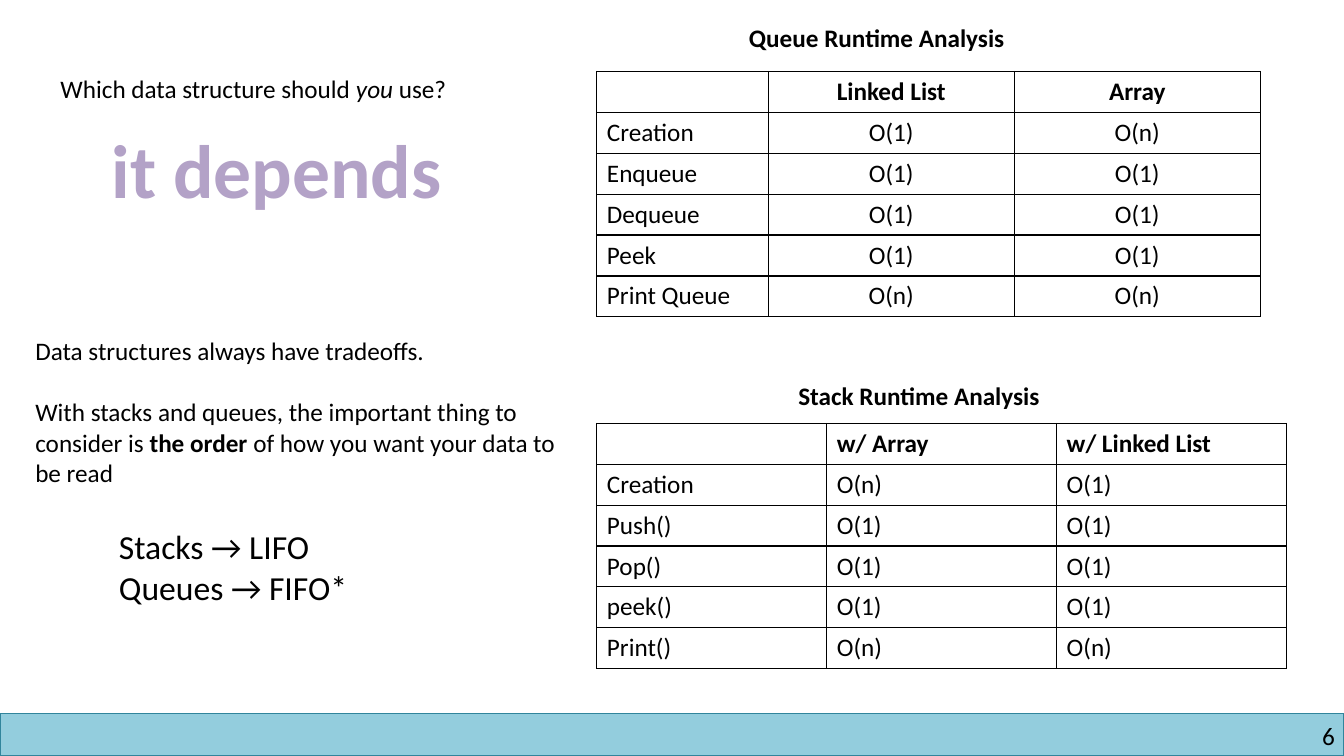
from pptx import Presentation
from pptx.dml.color import RGBColor
from pptx.enum.shapes import MSO_SHAPE
from pptx.enum.text import MSO_ANCHOR, MSO_AUTO_SIZE, PP_ALIGN
from pptx.oxml import parse_xml
from pptx.oxml.ns import nsdecls
from pptx.util import Inches, Pt

THEME = {
    "font": "Calibri",
    "ink": RGBColor.from_string("000000"),
    "paper": RGBColor.from_string("FFFFFF"),
    "accent": RGBColor.from_string("B3A2C7"),
    "bar": RGBColor.from_string("93CDDD"),
    "bar_line": RGBColor.from_string("31859C"),
    "text": Pt(18),
    "large": Pt(24),
    "hero": Pt(54),
}


def format_paragraph(p, size="text", color="ink", bold=False, align=PP_ALIGN.LEFT):
    p.alignment = align
    for r in p.runs:
        r.font.name = THEME["font"]
        r.font.size = THEME[size]
        r.font.color.rgb = THEME[color]
        r.font.bold = bold


def place(sp, left, top, width, height):
    sp.left, sp.top = Inches(left), Inches(top)
    sp.width, sp.height = Inches(width), Inches(height)
    tf = sp.text_frame
    tf.word_wrap = True
    tf.auto_size = MSO_AUTO_SIZE.NONE
    tf.vertical_anchor = MSO_ANCHOR.TOP
    return tf


prs = Presentation()
prs.slide_width, prs.slide_height = Inches(13.33), Inches(7.5)
s = prs.slides.add_slide(prs.slide_layouts[3])

bar = s.shapes.add_shape(MSO_SHAPE.RECTANGLE, 0, Inches(7.08), prs.slide_width, Inches(0.42))
bar.shadow.inherit = False
bar.fill.solid()
bar.fill.fore_color.rgb = THEME["bar"]
bar.line.color.rgb = THEME["bar_line"]
bar.line.width = Pt(1)

tf = place(s.shapes.title, 0.5, 0.68, 4.42, 0.4)
p = tf.paragraphs[0]
for text in ("Which data structure should ", "you", " use?"):
    p.add_run().text = text
format_paragraph(p)
p.runs[1].font.italic = True

tradeoffs = place(s.placeholders[1], 0.25, 3.28, 5.42, 1.62)
tradeoffs.text = "Data structures always have tradeoffs."
p = tradeoffs.add_paragraph()
for text in (
    "With stacks and queues, the important thing to consider is ",
    "the order ",
    "of how you want your data to be read",
):
    p.add_run().text = text

orders = place(s.placeholders[2], 1.08, 5.17, 2.79, 0.91)
orders.text = "Stacks → LIFO\nQueues → FIFO*"

for tf, size in ((tradeoffs, "text"), (orders, "large")):
    for p in tf.paragraphs:
        pPr = p._p.get_or_add_pPr()
        pPr.set("marL", "0")
        pPr.set("indent", "0")
        pPr.append(parse_xml(f"<a:buNone {nsdecls('a')}/>"))
        p.space_before = Pt(0)
        format_paragraph(p, size)
tradeoffs.paragraphs[1].space_before = Pt(22)
tradeoffs.paragraphs[1].runs[1].font.bold = True

labels = [
    ("Queue Runtime Analysis", (7.33, 0.17, 3.18, 0.4), "text", "ink", True, PP_ALIGN.LEFT),
    ("Stack Runtime Analysis", (7.82, 3.72, 3.06, 0.4), "text", "ink", True, PP_ALIGN.LEFT),
    ("it depends", (0.75, 1.17, 3.99, 1.01), "hero", "accent", True, PP_ALIGN.CENTER),
    ("6", (10.17, 7.15, 3.07, 0.3), "text", "ink", False, PP_ALIGN.RIGHT),
]
for text, box, size, color, bold, align in labels:
    tf = place(s.shapes.add_textbox(0, 0, 0, 0), *box)
    tf.text = text
    format_paragraph(tf.paragraphs[0], size, color, bold, align)
tf.margin_left = tf.margin_right = tf.margin_top = tf.margin_bottom = 0

queue_rows = [
    ("", "Linked List", "Array"),
    ("Creation", "O(1)", "O(n)"),
    ("Enqueue", "O(1)", "O(1)"),
    ("Dequeue", "O(1)", "O(1)"),
    ("Peek", "O(1)", "O(1)"),
    ("Print Queue", "O(n)", "O(n)"),
]
stack_rows = [
    ("", "w/ Array", "w/ Linked List"),
    ("Creation", "O(n)", "O(1)"),
    ("Push()", "O(1)", "O(1)"),
    ("Pop()", "O(1)", "O(1)"),
    ("peek()", "O(1)", "O(1)"),
    ("Print()", "O(n)", "O(n)"),
]
tables = [
    (queue_rows, 0.71, (1.7, 2.44, 2.44), PP_ALIGN.CENTER),
    (stack_rows, 4.2, (2.28, 2.28, 2.28), PP_ALIGN.LEFT),
]
for rows, top, widths, value_align in tables:
    table = s.shapes.add_table(
        len(rows), len(widths), Inches(5.92), Inches(top), Inches(sum(widths)), Inches(2.43)
    ).table
    for column, width in zip(table.columns, widths):
        column.width = Inches(width)
    for i, row in enumerate(rows):
        for j, text in enumerate(row):
            cell = table.cell(i, j)
            cell.text = text
            align = value_align if j else PP_ALIGN.LEFT
            format_paragraph(cell.text_frame.paragraphs[0], bold=i == 0, align=align)
            tcPr = cell._tc.get_or_add_tcPr()
            for side in "LRTB":
                tcPr.append(parse_xml(
                    f'<a:ln{side} {nsdecls("a")} w="{Pt(1)}"><a:solidFill>'
                    f'<a:srgbClr val="{THEME["ink"]}"/></a:solidFill></a:ln{side}>'
                ))
            cell.fill.solid()
            cell.fill.fore_color.rgb = THEME["paper"]

prs.save("out.pptx")
